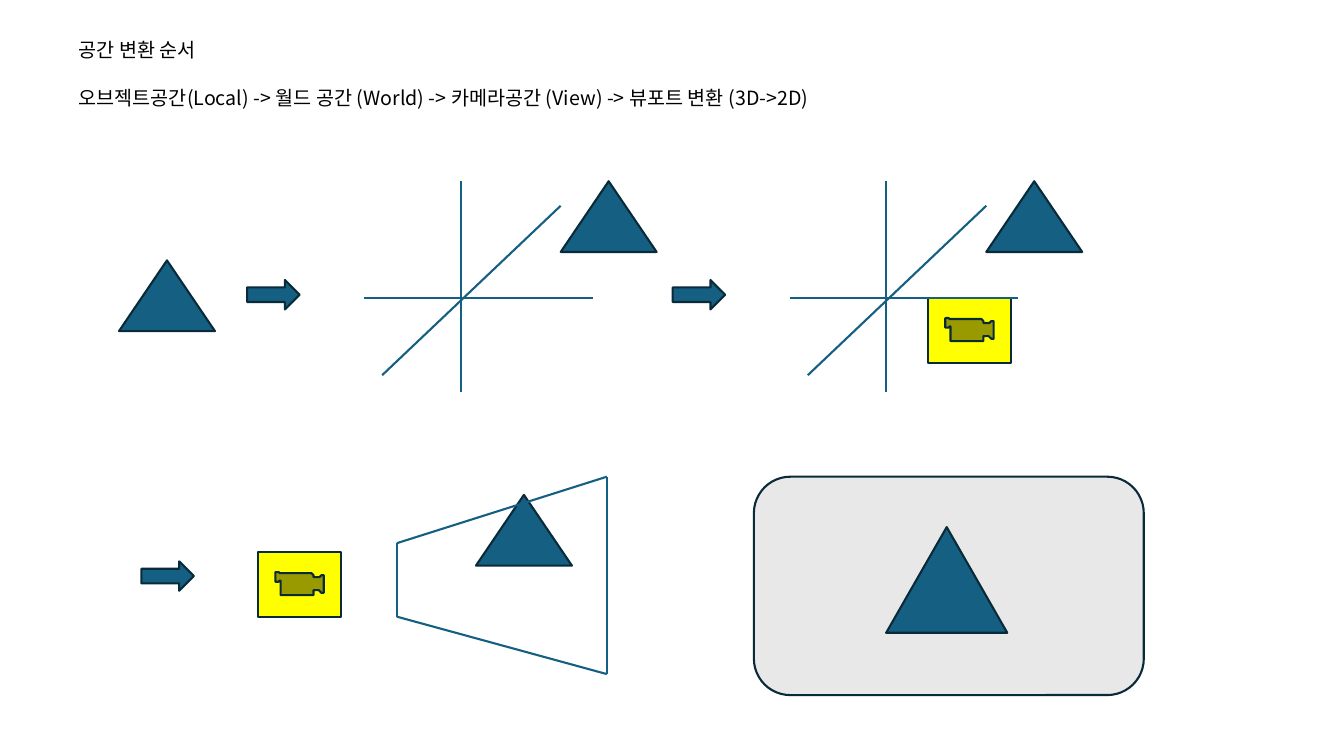
from lxml import etree
from pptx import Presentation
from pptx.dml.color import RGBColor
from pptx.enum.shapes import MSO_CONNECTOR, MSO_SHAPE
from pptx.enum.text import MSO_ANCHOR, PP_ALIGN
from pptx.oxml.ns import qn
from pptx.util import Pt

TRIANGLE = MSO_SHAPE.ISOSCELES_TRIANGLE
ARROW = MSO_SHAPE.RIGHT_ARROW
CAMERA = MSO_SHAPE.ACTION_BUTTON_MOVIE
SCREEN = MSO_SHAPE.ROUNDED_RECTANGLE
STRAIGHT = MSO_CONNECTOR.STRAIGHT

FONT = "Noto Sans CJK KR"
COLORS = {"blue": "156082", "outline": "092A39", "yellow": "FFFF00",
          "gray": "E8E8E8", "text": "000000"}
RGB = {name: RGBColor.from_string(value) for name, value in COLORS.items()}

TRIANGLE_SIZE = (68.5, 50.5)
ARROW_SIZE = (37.5, 21)
CAMERA_SIZE = (59, 46)
SCENE_STEP = 304

prs = Presentation()
prs.slide_width, prs.slide_height = Pt(960), Pt(540)
s = prs.slides.add_slide(prs.slide_layouts[5])


def add_figure(kind, x, y, size, fill="blue"):
    sp = s.shapes.add_shape(kind, Pt(x), Pt(y), Pt(size[0]), Pt(size[1]))
    sp.shadow.inherit = False
    sp.fill.solid()
    sp.fill.fore_color.rgb = RGB[fill]
    sp.line.color.rgb = RGB["outline"]
    sp.line.width = Pt(1.5)


def add_line(x1, y1, x2, y2):
    line = s.shapes.add_connector(STRAIGHT, Pt(x1), Pt(y1), Pt(x2), Pt(y2))
    line.line.color.rgb = RGB["blue"]
    line.line.width = Pt(1.5)
    etree.SubElement(line._element.spPr, qn("a:effectLst"))


# Heading and the order of the spaces
title = s.shapes.title
steps = s.shapes.add_textbox(Pt(49), Pt(57.5), Pt(788.5), Pt(28))
title.left, title.top, title.width, title.height = Pt(49), Pt(23.5), Pt(788.5), Pt(28)
for sp, text in [
    (title, "공간 변환 순서"),
    (steps, "오브젝트공간(Local) -> 월드 공간 (World) -> 카메라공간 (View) -> 뷰포트 변환 (3D->2D)"),
]:
    tf = sp.text_frame
    tf.word_wrap = True
    tf.vertical_anchor = MSO_ANCHOR.TOP
    tf.text = text
    p = tf.paragraphs[0]
    p.alignment = PP_ALIGN.LEFT
    r = p.runs[0]
    r.font.size = Pt(14)
    r.font.name = FONT
    r.font.color.rgb = RGB["text"]
    etree.SubElement(r.font._element, qn("a:ea"), typeface=FONT)

# Local space
add_figure(TRIANGLE, 85, 186, TRIANGLE_SIZE)

# World space, then the same scene with a camera
add_figure(CAMERA, 663, 213, CAMERA_SIZE, "yellow")
for dx in (0, SCENE_STEP):
    add_figure(ARROW, 176.5 + dx, 200, ARROW_SIZE)
    add_line(260 + dx, 213, 423.5 + dx, 213)
    add_line(329 + dx, 129.5, 329 + dx, 280)
    add_line(273 + dx, 268, 400.5 + dx, 147)
    add_figure(TRIANGLE, 400.5 + dx, 129.5, TRIANGLE_SIZE)

# View space: camera and frustum
add_figure(ARROW, 101, 401, ARROW_SIZE)
add_figure(CAMERA, 184.5, 394.5, CAMERA_SIZE, "yellow")
add_figure(TRIANGLE, 340, 353.5, TRIANGLE_SIZE)
frustum = [(283.5, 388), (433.5, 340.5), (433.5, 481.5), (283.5, 440.5)]
for start, end in zip(frustum, frustum[1:] + frustum[:1]):
    add_line(*start, *end)

# Viewport
add_figure(SCREEN, 538.5, 340.5, (278.5, 156), "gray")
add_figure(TRIANGLE, 633, 376.5, (86.5, 75.5))

prs.save("out.pptx")
